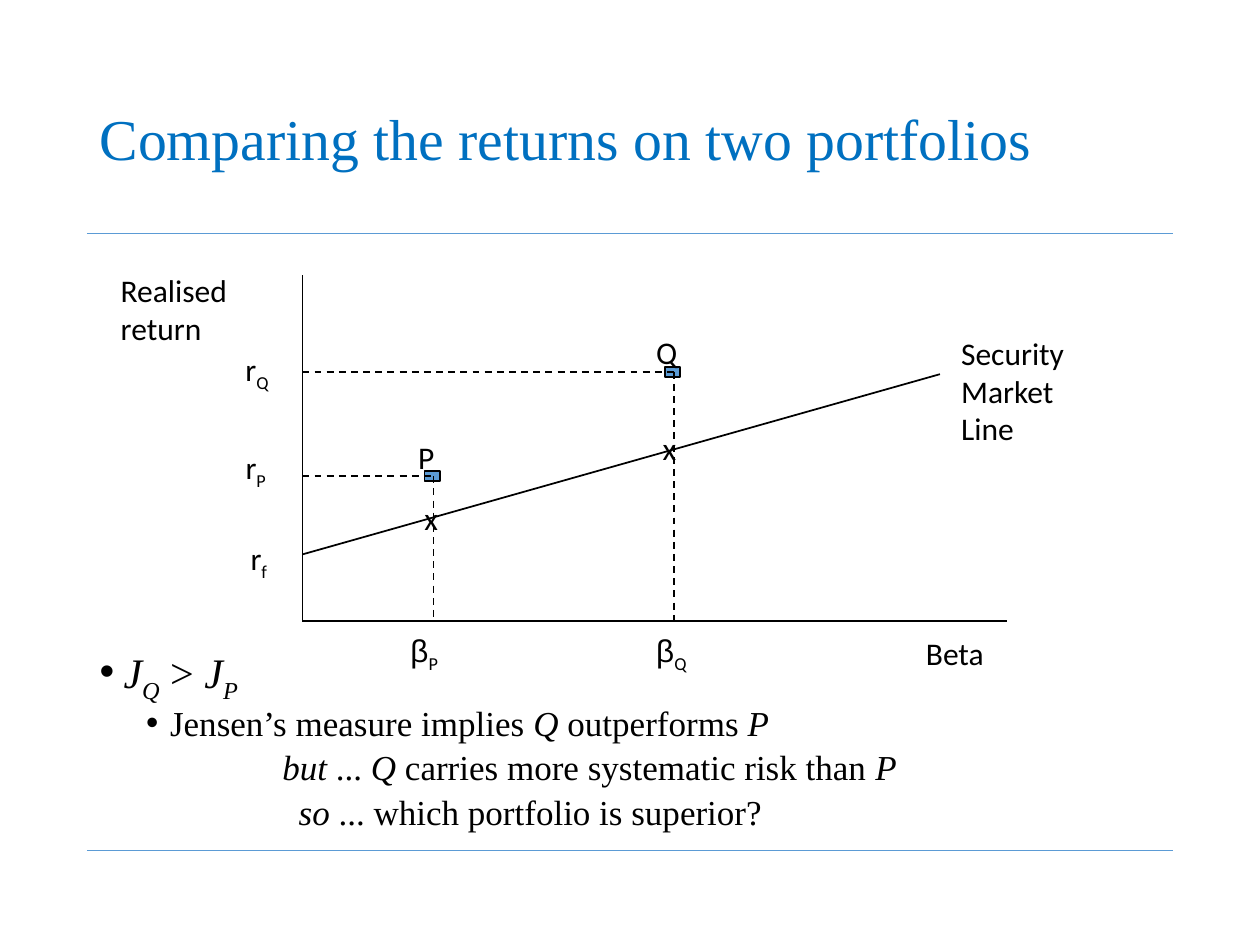
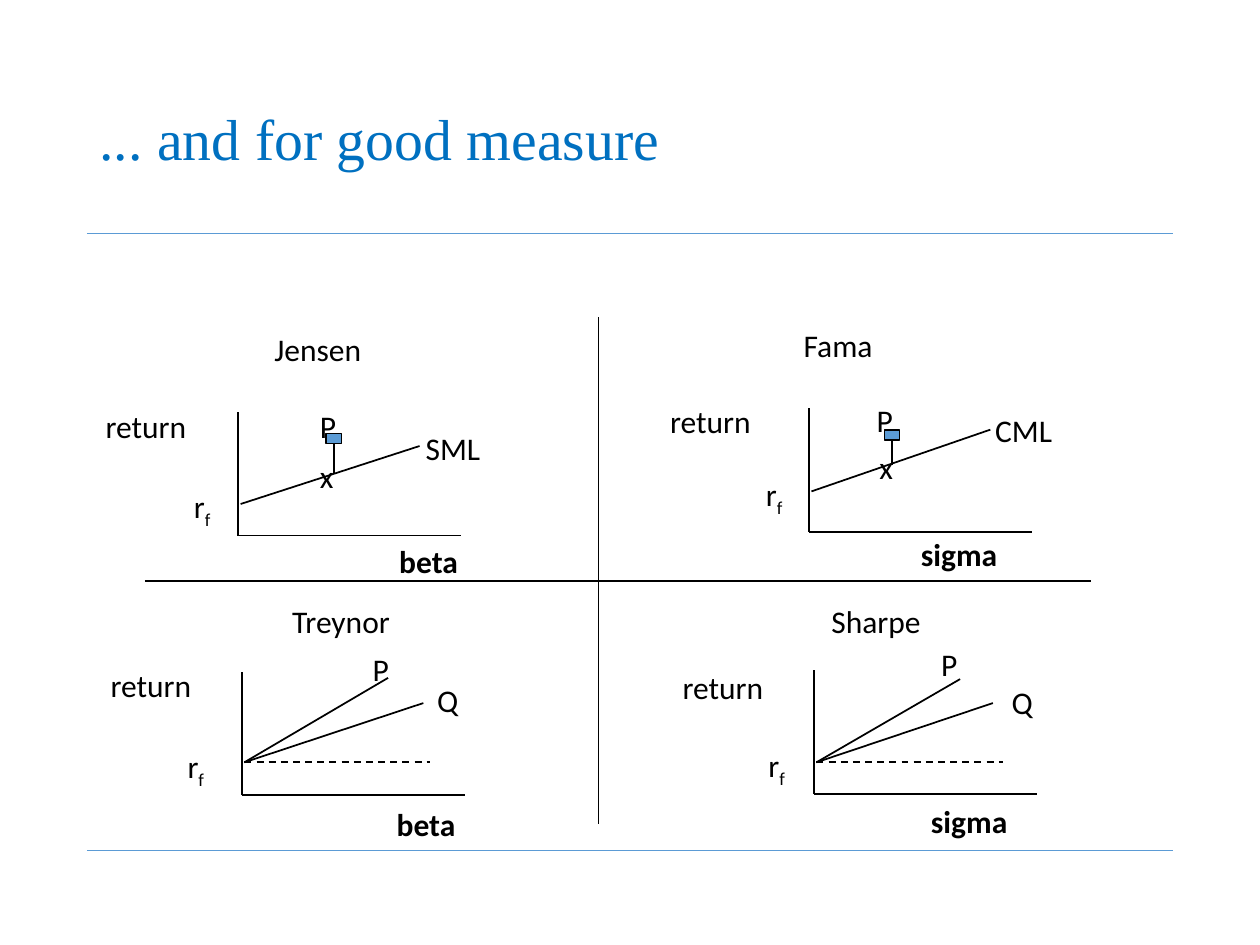
from dataclasses import dataclass

from lxml import etree
from pptx import Presentation
from pptx.dml.color import RGBColor
from pptx.enum.dml import MSO_LINE
from pptx.enum.shapes import MSO_CONNECTOR, MSO_SHAPE
from pptx.enum.text import MSO_ANCHOR, MSO_AUTO_SIZE, PP_ALIGN
from pptx.oxml.ns import qn
from pptx.util import Inches, Pt

STRAIGHT, RECTANGLE = MSO_CONNECTOR.STRAIGHT, MSO_SHAPE.RECTANGLE
DASH, LEFT = MSO_LINE.DASH, PP_ALIGN.LEFT
TOP, MIDDLE = MSO_ANCHOR.TOP, MSO_ANCHOR.MIDDLE
FIT_SHAPE, NO_FIT = MSO_AUTO_SIZE.SHAPE_TO_FIT_TEXT, MSO_AUTO_SIZE.NONE
TITLE_AND_BODY, TITLE_ONLY = 1, 5
BOTTOM_SIDE = 2


@dataclass(frozen=True)
class Theme:
    ink: RGBColor = RGBColor(0, 0, 0)
    title: RGBColor = RGBColor(0x00, 0x70, 0xC0)
    accent: RGBColor = RGBColor(0x5B, 0x9B, 0xD5)
    serif: str = "Times New Roman"
    sans: str = "Calibri"
    greek: str = "Arial"
    title_size: float = 33
    label_size: float = 18
    axis_width: float = 1
    rule_width: float = 0.5
    subscript: str = "-25000"


THEME = Theme()
WIDTH, HEIGHT = 10, 7.5
MARGIN = 0.69
CONTENT_WIDTH = WIDTH - 2 * MARGIN
RULE_YS = (1.85, 6.75)
TITLE_BOX = (MARGIN, 0.4, CONTENT_WIDTH, 1.45)
BODY_BOX = (MARGIN, 5.09, CONTENT_WIDTH, 1.66)
MARKER_WIDTH, MARKER_HEIGHT = 0.12, 0.08
LINE_HEIGHT, LABEL_PADDING = 0.3, 0.1

LABEL_WIDTHS = {
    "Realised\nreturn": 1.05, "Security\nMarket\nLine": 1.03, "Beta": 0.68,
    "P": 0.35, "Q": 0.39, "x": 0.32, "r_f": 0.36, "r_Q": 0.4, "r_P": 0.38,
    "β_P": 0.43, "β_Q": 0.45, "Jensen": 0.91, "Fama": 0.76, "Treynor": 1,
    "Sharpe": 0.93, "return": 0.9, "beta": 0.69, "sigma": 0.89,
    "SML": 0.73, "CML": 0.77,
}

# In the conclusions, * switches italics and _ puts the next letter below.
COMPARISON = {
    "title": "Comparing the returns on two portfolios",
    "origin": (2.4, 4.93),
    "axis_ends": ((2.4, 2.18), (7.99, 4.93)),
    "market_line": ((2.4, 4.4), (7.46, 2.97)),
    "portfolios": [(3.44, 3.78), (5.35, 2.95)],
    "labels": [
        ("Realised\nreturn", 0.86, 2.1), ("Beta", 7.25, 4.98),
        ("Security\nMarket\nLine", 7.53, 2.6),
        ("P", 3.22, 3.43), ("Q", 5.11, 2.59),
        ("r_f", 1.89, 4.23), ("r_Q", 1.85, 2.73), ("r_P", 1.85, 3.51),
        ("β_P", 3.16, 4.96), ("β_Q", 5.11, 4.96),
        ("x", 3.27, 3.91), ("x", 5.16, 3.36),
    ],
    # text, level, size, left indent, bullet, space before
    "conclusions": [
        ("*J_Q* > *J_P*", 0, 24, 0.19, True, 0),
        ("Jensen’s measure implies *Q* outperforms *P*", 1, 20, 0.56, True, 3.8),
        ("*but* ... *Q* carries more systematic risk than *P*", 1, 20, 1.45, False, 3.8),
        ("*so* ... which portfolio is superior?", 1, 20, 1.58, False, 3.8),
    ],
}

MEASURES = {
    "title": "... and for good measure",
    "dividers": [((4.75, 2.52), (4.75, 6.54)), ((1.15, 4.61), (8.66, 4.61))],
    "names": [("Jensen", 2.08, 2.57), ("Fama", 6.28, 2.54),
              ("Treynor", 2.22, 4.73), ("Sharpe", 6.5, 4.73)],
    # Lines start at the risk-free rate and, like it, are measured from the origin.
    "graphs": [
        {"origin": (1.89, 4.25), "risk_free": 0.25, "lines": [(1.44, 0.71)],
         "stem": (0.76, 0.73, 0.5),
         "labels": [("return", 0.74, 3.18), ("r_f", 1.44, 3.82), ("P", 2.44, 3.18),
                    ("SML", 3.28, 3.36), ("x", 2.44, 3.58)],
         "risk": ("beta", 3.07, 4.25)},
        {"origin": (6.42, 4.22), "risk_free": 0.32, "lines": [(1.44, 0.81)],
         "stem": (0.66, 0.73, 0.53),
         "labels": [("return", 5.22, 3.14), ("r_f", 5.98, 3.72), ("P", 6.86, 3.13),
                    ("CML", 7.8, 3.21), ("x", 6.88, 3.51)],
         "risk": ("sigma", 7.21, 4.2)},
        {"origin": (1.92, 6.31), "risk_free": 0.26,
         "lines": [(1.16, 0.93), (1.44, 0.73)], "level_to": 1.49,
         "labels": [("return", 0.78, 5.24), ("r_f", 1.39, 5.88),
                    ("P", 2.86, 5.11), ("Q", 3.37, 5.36)],
         "risk": ("beta", 3.05, 6.34)},
        {"origin": (6.46, 6.3), "risk_free": 0.25,
         "lines": [(1.16, 0.91), (1.42, 0.72)], "level_to": 1.5,
         "labels": [("return", 5.32, 5.25), ("r_f", 6, 5.87),
                    ("P", 7.37, 5.07), ("Q", 7.93, 5.37)],
         "risk": ("sigma", 7.29, 6.32)},
    ],
}
GRAPH_WIDTH, GRAPH_HEIGHT = 1.77, 0.98


def apply(target, **values):
    for attribute, value in values.items():
        setattr(target, attribute, value)


def place(shape, box):
    edges = ("left", "top", "width", "height")
    apply(shape, **{edge: Inches(length) for edge, length in zip(edges, box)})


def add_line(shapes, start, end, color=THEME.ink, width=THEME.axis_width, dash=None):
    line = shapes.add_connector(STRAIGHT, *(Inches(v) for v in (*start, *end)))
    line.line.color.rgb = color
    apply(line.line, width=Pt(width), dash_style=dash)
    etree.SubElement(line.element.spPr, qn("a:effectLst"))
    return line


def add_marker(shapes, center):
    x, y = center
    box = (x - MARKER_WIDTH / 2, y - MARKER_HEIGHT / 2, MARKER_WIDTH, MARKER_HEIGHT)
    marker = shapes.add_shape(RECTANGLE, *(Inches(v) for v in box))
    marker.shadow.inherit = False
    marker.fill.solid()
    marker.fill.fore_color.rgb = THEME.accent
    marker.line.color.rgb = THEME.ink
    marker.line.width = Pt(THEME.axis_width)
    return marker


def add_run(paragraph, text, font, size, color=THEME.ink, lowered=False, **style):
    run = paragraph.add_run()
    run.text = text
    apply(run.font, name=font, size=Pt(size), **style)
    run.font.color.rgb = color
    if lowered:
        run.font._element.set("baseline", THEME.subscript)


def add_label(shapes, text, left, top, bold=None):
    rows = text.split("\n")
    box = (left, top, LABEL_WIDTHS[text], LABEL_PADDING + LINE_HEIGHT * len(rows))
    frame = shapes.add_textbox(*(Inches(v) for v in box)).text_frame
    apply(frame, word_wrap=False, auto_size=FIT_SHAPE)
    for index, row in enumerate(rows):
        paragraph = frame.add_paragraph() if index else frame.paragraphs[0]
        base, _, below = row.partition("_")
        font = THEME.greek if base == "β" else THEME.sans
        add_run(paragraph, base, font, THEME.label_size, bold=bold)
        if below:
            add_run(paragraph, below, THEME.sans, THEME.label_size, lowered=True)


def add_slide(deck, layout, title):
    slide = deck.slides.add_slide(deck.slide_layouts[layout])
    heading = slide.shapes.title
    place(heading, TITLE_BOX)
    apply(heading.text_frame, vertical_anchor=MIDDLE, auto_size=NO_FIT, word_wrap=True)
    paragraph = heading.text_frame.paragraphs[0]
    apply(paragraph, alignment=LEFT, line_spacing=0.9)
    add_run(paragraph, title, THEME.serif, THEME.title_size, THEME.title)
    for y in RULE_YS:
        add_line(slide.shapes, (MARGIN, y), (WIDTH - MARGIN, y),
                 THEME.accent, THEME.rule_width)
    return slide


def set_bullet(paragraph, indent, bulleted):
    properties = paragraph._p.get_or_add_pPr()
    properties.set("marL", str(Inches(indent)))
    properties.set("indent", str(Inches(-0.19 if bulleted else 0)))
    if bulleted:
        font = etree.SubElement(properties, qn("a:buFont"))
        font.set("typeface", THEME.greek)
        etree.SubElement(properties, qn("a:buChar")).set("char", "•")
    else:
        etree.SubElement(properties, qn("a:buNone"))


def fill_conclusions(body, conclusions):
    place(body, BODY_BOX)
    frame = body.text_frame
    apply(frame, vertical_anchor=TOP, auto_size=NO_FIT, word_wrap=True)
    for index, (text, level, size, indent, bulleted, before) in enumerate(conclusions):
        paragraph = frame.add_paragraph() if index else frame.paragraphs[0]
        apply(paragraph, level=level, alignment=LEFT, line_spacing=0.9,
              space_before=Pt(before))
        set_bullet(paragraph, indent, bulleted)
        for part, words in enumerate(text.split("*")):
            base, _, below = words.partition("_")
            for piece, lowered in ((base, False), (below, True)):
                if piece:
                    add_run(paragraph, piece, THEME.serif, size,
                            lowered=lowered, italic=part % 2 == 1)


def build_comparison(deck):
    slide = add_slide(deck, TITLE_AND_BODY, COMPARISON["title"])
    fill_conclusions(slide.placeholders[1], COMPARISON["conclusions"])
    shapes = slide.shapes
    origin_x, origin_y = COMPARISON["origin"]
    for axis_end in COMPARISON["axis_ends"]:
        add_line(shapes, (origin_x, origin_y), axis_end)
    add_line(shapes, *COMPARISON["market_line"])
    for x, y in COMPARISON["portfolios"]:
        add_marker(shapes, (x - 0.01, y))
        add_line(shapes, (origin_x, y), (x, y), dash=DASH)
        add_line(shapes, (x, y), (x, origin_y), dash=DASH)
    for label in COMPARISON["labels"]:
        add_label(shapes, *label)


def add_graph(shapes, graph):
    origin_x, origin_y = graph["origin"]

    def at(right, up):
        return origin_x + right, origin_y - up

    for axis_end in ((0, GRAPH_HEIGHT), (GRAPH_WIDTH, 0)):
        add_line(shapes, at(0, 0), at(*axis_end))
    start = at(0.02, graph["risk_free"])
    for line_end in graph["lines"]:
        add_line(shapes, start, at(*line_end))
    if "level_to" in graph:
        add_line(shapes, start, at(graph["level_to"], graph["risk_free"]), dash=DASH)
    for label in graph["labels"]:
        add_label(shapes, *label)
    add_label(shapes, *graph["risk"], bold=True)
    if "stem" in graph:
        x, stem_top, stem_bottom = graph["stem"]
        marker = add_marker(shapes, at(x, stem_top + MARKER_HEIGHT / 2))
        stem = add_line(shapes, at(x, stem_top), at(x, stem_bottom))
        stem.begin_connect(marker, BOTTOM_SIDE)


def build_measures(deck):
    shapes = add_slide(deck, TITLE_ONLY, MEASURES["title"]).shapes
    for divider in MEASURES["dividers"]:
        add_line(shapes, *divider)
    for name in MEASURES["names"]:
        add_label(shapes, *name)
    for graph in MEASURES["graphs"]:
        add_graph(shapes.add_group_shape().shapes, graph)


def main():
    deck = Presentation()
    apply(deck, slide_width=Inches(WIDTH), slide_height=Inches(HEIGHT))
    build_comparison(deck)
    build_measures(deck)
    deck.save("out.pptx")


if __name__ == "__main__":
    main()
